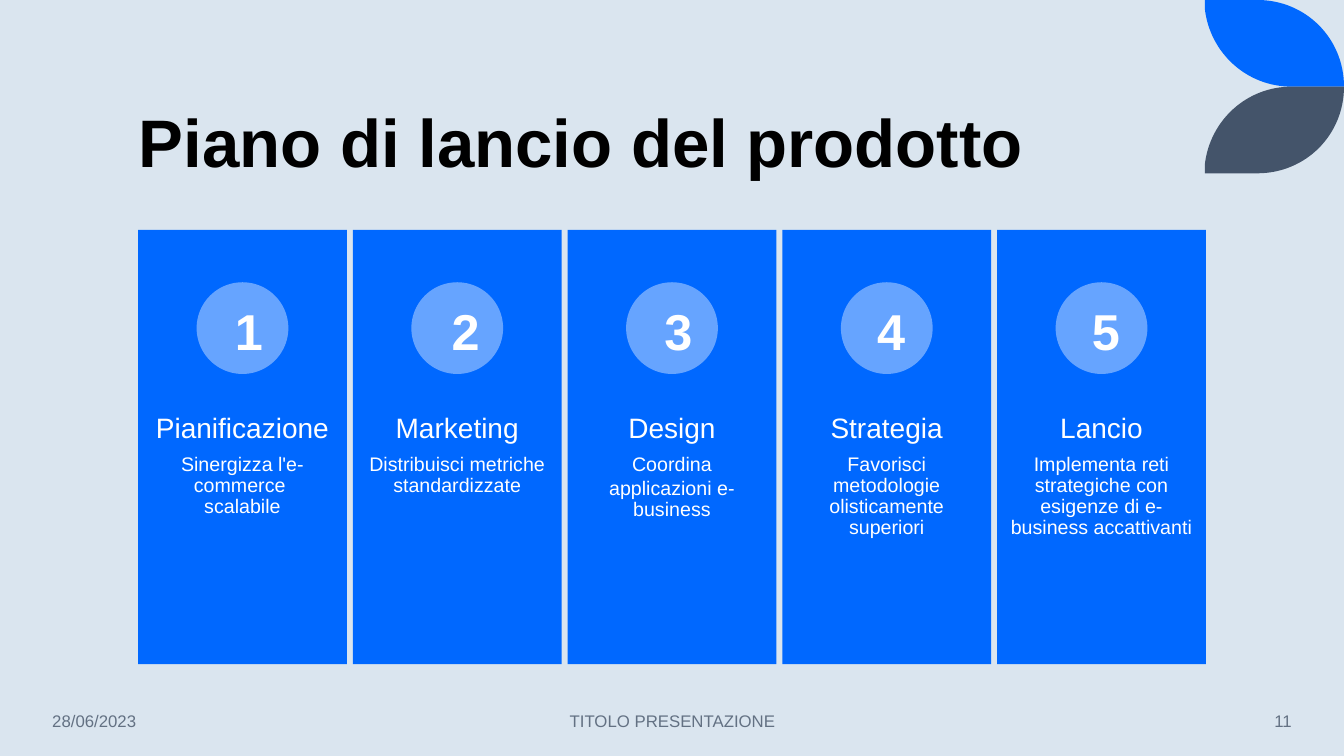
from dataclasses import dataclass

from lxml import etree
from pptx import Presentation
from pptx.dml.color import RGBColor
from pptx.enum.shapes import MSO_SHAPE
from pptx.enum.text import MSO_ANCHOR, PP_ALIGN
from pptx.oxml.ns import qn
from pptx.util import Inches, Pt

RECT, OVAL = MSO_SHAPE.RECTANGLE, MSO_SHAPE.OVAL
LEFT, CENTER, RIGHT = PP_ALIGN.LEFT, PP_ALIGN.CENTER, PP_ALIGN.RIGHT
TOP, MIDDLE, BOTTOM = MSO_ANCHOR.TOP, MSO_ANCHOR.MIDDLE, MSO_ANCHOR.BOTTOM


@dataclass(frozen=True)
class Theme:
    font: str = "Arial"
    back: str = "DAE5EF"
    blue: str = "0068FF"
    light: str = "66A4FF"
    slate: str = "44546A"
    black: str = "000000"
    white: str = "FFFFFF"
    gray: str = "637183"
    title: int = 48
    number: int = 36
    head: int = 20
    body: int = 14
    foot: int = 12


# Left edge of the number, heading, body paragraphs
STEPS = [
    (2.23, "Pianificazione", ["Sinergizza l'e-commerce \vscalabile"]),
    (4.38, "Marketing", ["Distribuisci metriche standardizzate"]),
    (6.49, "Design", ["Coordina", "applicazioni e-business"]),
    (8.6, "Strategia", ["Favorisci metodologie olisticamente superiori"]),
    (10.73, "Lancio",
     ["Implementa reti strategiche con esigenze di e-business accattivanti"]),
]
PITCH = 2.13


class Deck:
    def __init__(self, theme):
        self.theme = theme
        self.file = Presentation()
        self.file.slide_width, self.file.slide_height = Inches(13.33), Inches(7.5)
        self.slide = self.file.slides.add_slide(self.file.slide_layouts[6])
        self.paint(self.slide.background, theme.back)

    def paint(self, item, color):
        item.fill.solid()
        item.fill.fore_color.rgb = RGBColor.from_string(color)

    def finish(self, shape, color):
        self.paint(shape, color)
        shape.line.fill.background()
        shape.shadow.inherit = False

    def shape(self, kind, box, color):
        shape = self.slide.shapes.add_shape(kind, *map(Inches, box))
        self.finish(shape, color)

    def bend(self, shape, line, guides):
        """Turn a straight segment into a cubic curve with two guide points."""
        line.tag = qn("a:cubicBezTo")
        for i, (x, y) in enumerate(guides):
            dot = etree.Element(qn("a:pt"))
            dot.set("x", str(Inches(x) - shape.left))
            dot.set("y", str(Inches(y) - shape.top))
            line.insert(i, dot)

    def leaf(self, tip, color):
        """Draw a leaf from its flat edge at height tip to the shared edge at 0.86."""
        base = 0.86
        way = 1 if tip < base else -1
        dots = [(12.47, tip), (13.33, base), (12.81, base), (11.95, tip + way * 0.09)]
        pen = self.slide.shapes.build_freeform(Inches(11.95), Inches(tip))
        pen.add_line_segments([(Inches(x), Inches(y)) for x, y in dots], close=True)
        shape = pen.convert_to_shape()
        lines = list(shape.element.iter(qn("a:lnTo")))
        self.bend(shape, lines[1], [(12.95, tip), (13.33, tip + way * 0.38)])
        self.bend(shape, lines[3], [(12.36, base), (12, tip + way * 0.52)])
        self.finish(shape, color)

    def text(self, box, lines, color, align=LEFT, anchor=TOP, bold=False, space=None, inset=None):
        """Write (text, size, points after) lines in one box."""
        frame = self.slide.shapes.add_textbox(*map(Inches, box)).text_frame
        frame.word_wrap = True
        frame.vertical_anchor = anchor
        if inset:
            frame.margin_left = frame.margin_right = Inches(inset)
            frame.margin_top = frame.margin_bottom = Inches(inset)
        for i, (words, size, after) in enumerate(lines):
            para = frame.add_paragraph() if i else frame.paragraphs[0]
            para.text = words
            para.alignment = align
            para.line_spacing = space
            para.space_after = Pt(after)
            font = para.font
            font.name, font.size, font.bold = self.theme.font, Pt(size), bold
            font.color.rgb = RGBColor.from_string(color)

    def step(self, i, spot, head, body):
        theme, shift = self.theme, i * PITCH
        left = 1.37 + shift
        self.shape(RECT, (left, 2.28, 2.07, 4.31), theme.blue)
        lines = [(head, theme.head, 7)] + [(words, theme.body, 2.1) for words in body]
        self.text((left, 4, 2.07, 1.72), lines, theme.white, CENTER, space=0.9, inset=0.11)
        self.shape(OVAL, (1.95 + shift, 2.8, 0.91, 0.91), theme.light)
        self.text((spot, 2.93, 0.38, 0.71), [(str(i + 1), theme.number, 0)],
                  theme.white, CENTER, bold=True)

    def foot(self, left, width, words, align):
        self.text((left, 6.95, width, 0.4), [(words, self.theme.foot, 0)],
                  self.theme.gray, align, MIDDLE)


def main():
    theme = Theme()
    deck = Deck(theme)
    deck.leaf(0, theme.blue)
    deck.leaf(1.72, theme.slate)
    deck.text((1.28, 0.41, 10.69, 1.45), [("Piano di lancio del prodotto", theme.title, 0)],
              theme.black, anchor=BOTTOM, bold=True, space=0.9)
    for i, (spot, head, body) in enumerate(STEPS):
        deck.step(i, spot, head, body)
    deck.foot(0.42, 1.86, "28/06/2023", LEFT)
    deck.foot(4.42, 4.5, "TITOLO PRESENTAZIONE", CENTER)
    deck.foot(11.1, 1.81, "11", RIGHT)
    deck.file.save("out.pptx")


if __name__ == "__main__":
    main()
